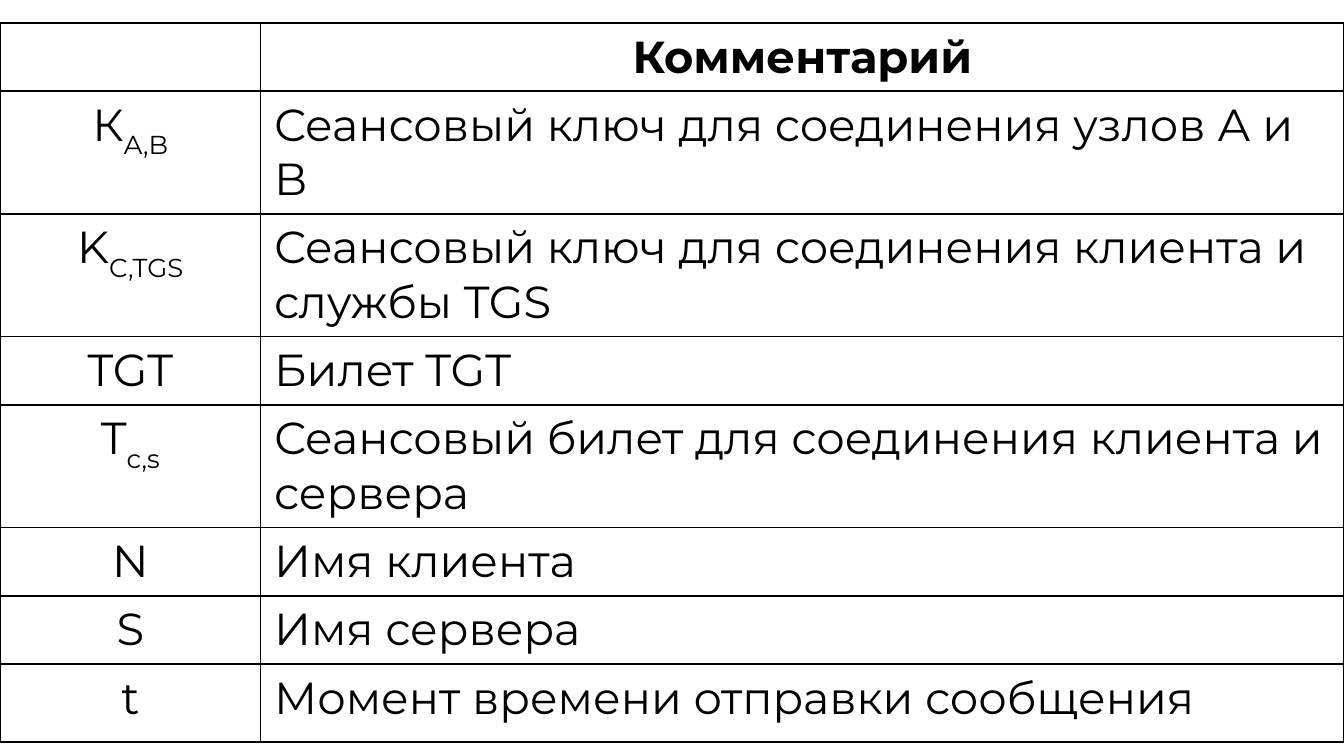
"""Build a slide with a table of protocol notation and comments."""
from lxml.etree import SubElement
from pptx import Presentation
from pptx.dml.color import RGBColor
from pptx.enum.text import PP_ALIGN as Align
from pptx.oxml.ns import qn
from pptx.util import Inches, Pt

BLACK = RGBColor(0, 0, 0)
FONT = "Montserrat"
TEXT_SIZE = Pt(24)
SUBSCRIPT = "-30000"
SLIDE_WIDTH = Inches(10)
COLUMN_WIDTHS = (1.94, 8.06)
ONE_LINE, TWO_LINES, LAST_LINE = 0.42, 0.76, 0.58
HEADING = "Комментарий"
NOTATION = [
    ("К", "A,B", "Сеансовый ключ для соединения узлов А и В", TWO_LINES),
    ("K", "C,TGS", "Сеансовый ключ для соединения клиента и службы TGS", TWO_LINES),
    ("TGT", "", "Билет TGT", ONE_LINE),
    ("T", "c,s", "Сеансовый билет для соединения клиента и сервера", TWO_LINES),
    ("N", "", "Имя клиента", ONE_LINE),
    ("S", "", "Имя сервера", ONE_LINE),
    ("t", "", "Момент времени отправки сообщения", LAST_LINE),
]


def add_run(paragraph, text, bold=False, subscript=False):
    run = paragraph.add_run()
    run.text = text
    run.font.name = FONT
    run.font.size = TEXT_SIZE
    run.font.bold = bold
    run.font.color.rgb = BLACK
    if subscript:
        run.font._element.set("baseline", SUBSCRIPT)


def style_cell(cell):
    properties = cell._tc.get_or_add_tcPr()
    for side in ("a:lnL", "a:lnR", "a:lnT", "a:lnB"):
        border = SubElement(properties, qn(side), w=str(Pt(1)))
        color = SubElement(border, qn("a:solidFill"))
        SubElement(color, qn("a:srgbClr"), val=str(BLACK))
    cell.fill.background()


presentation = Presentation()
presentation.slide_width = SLIDE_WIDTH
presentation.slide_height = SLIDE_WIDTH * 9 // 16
slide = presentation.slides.add_slide(presentation.slide_layouts[6])

row_heights = [ONE_LINE] + [height for *_, height in NOTATION]
table = slide.shapes.add_table(
    len(row_heights), len(COLUMN_WIDTHS), Inches(0), Inches(0.17),
    Inches(sum(COLUMN_WIDTHS)), Inches(sum(row_heights))).table
table.first_row = table.horz_banding = False
for column, width in zip(table.columns, COLUMN_WIDTHS):
    column.width = Inches(width)
for row, height in zip(table.rows, row_heights):
    row.height = Inches(height)
for cell in table.iter_cells():
    style_cell(cell)

heading = table.cell(0, 1).text_frame.paragraphs[0]
heading.alignment = Align.CENTER
add_run(heading, HEADING, bold=True)
for index, (symbol, indices, comment, _) in enumerate(NOTATION, start=1):
    notation = table.cell(index, 0).text_frame.paragraphs[0]
    notation.alignment = Align.CENTER
    add_run(notation, symbol)
    if indices:
        add_run(notation, indices, subscript=True)
    add_run(table.cell(index, 1).text_frame.paragraphs[0], comment)

presentation.save("out.pptx")
